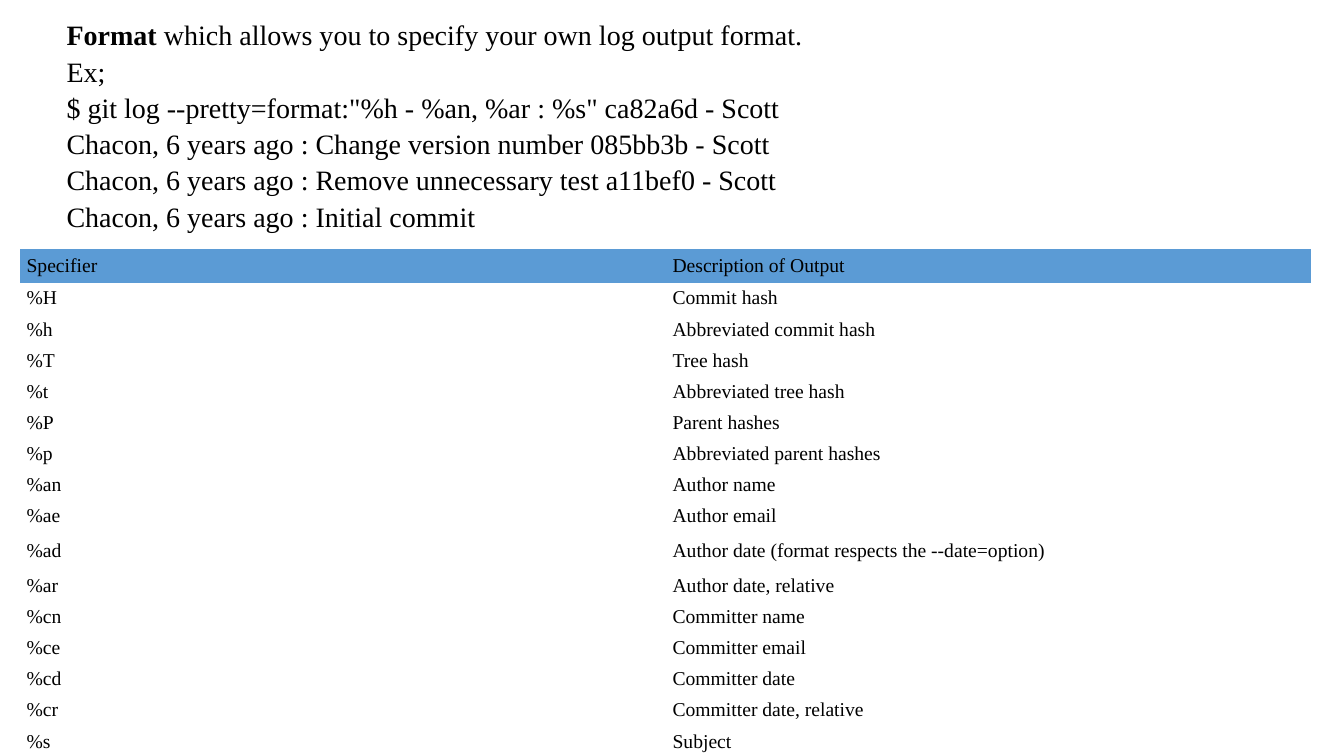
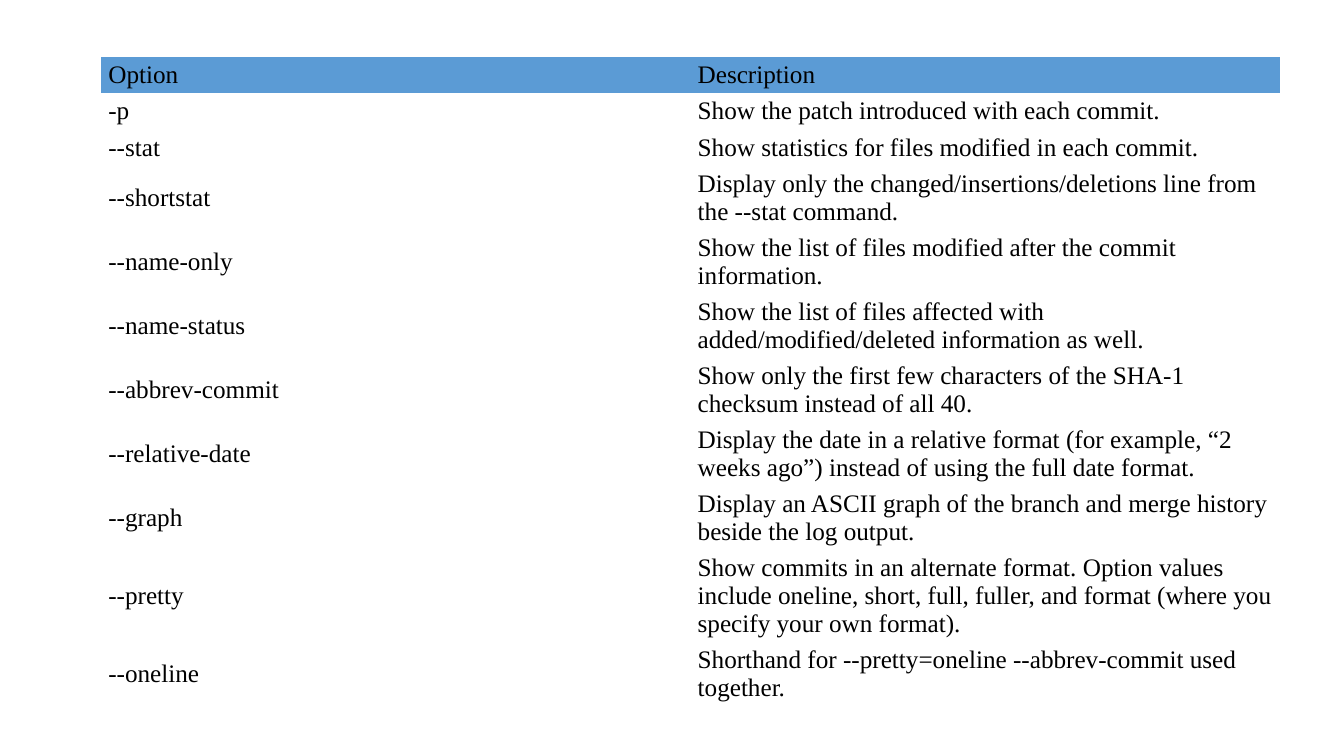
from dataclasses import dataclass

from lxml.etree import SubElement
from pptx import Presentation
from pptx.dml.color import RGBColor
from pptx.enum.text import MSO_ANCHOR, MSO_AUTO_SIZE, PP_ALIGN
from pptx.oxml.ns import qn
from pptx.slide import Slide
from pptx.util import Pt

FONT = "Times New Roman"
BLACK = "000000"
HEADER_BLUE = "5B9BD5"
PLAIN_TABLE_STYLE = "{2D5ABB26-0587-4C30-8999-92F81FD0307C}"
TITLE_AND_CONTENT, BLANK = 1, 6


@dataclass
class ReferenceTable:
    left: float
    top: float
    column_width: float
    size: float
    inset: float
    rows: list[tuple[str, str]]
    heights: list[float]


SPECIFIERS = ReferenceTable(
    left=14, top=178, column_width=461.4, size=14, inset=3,
    rows=[
        ("Specifier", "Description of Output"),
        ("%H", "Commit hash"),
        ("%h", "Abbreviated commit hash"),
        ("%T", "Tree hash"),
        ("%t", "Abbreviated tree hash"),
        ("%P", "Parent hashes"),
        ("%p", "Abbreviated parent hashes"),
        ("%an", "Author name"),
        ("%ae", "Author email"),
        ("%ad", "Author date (format respects the --date=option)"),
        ("%ar", "Author date, relative"),
        ("%cn", "Committer name"),
        ("%ce", "Committer email"),
        ("%cd", "Committer date"),
        ("%cr", "Committer date, relative"),
        ("%s", "Subject"),
    ],
    heights=[24] + [22.2] * 8 + [28] + [22.2] * 6,
)

OPTIONS = ReferenceTable(
    left=72.4, top=40.6, column_width=421, size=18, inset=2.5,
    rows=[
        ("Option", "Description"),
        ("-p", "Show the patch introduced with each commit."),
        ("--stat", "Show statistics for files modified in each commit."),
        ("--shortstat", "Display only the changed/insertions/deletions line from "
                        "the --stat command."),
        ("--name-only", "Show the list of files modified after the commit information."),
        ("--name-status", "Show the list of files affected with "
                          "added/modified/deleted information as well."),
        ("--abbrev-commit", "Show only the first few characters of the SHA-1 "
                            "checksum instead of all 40."),
        ("--relative-date", "Display the date in a relative format (for example, “2 weeks ago”) "
                            "instead of using the full date format."),
        ("--graph", "Display an ASCII graph of the branch and merge history "
                    "beside the log output."),
        ("--pretty", "Show commits in an alternate format. Option values include oneline, "
                     "short, full, fuller, and format (where you specify your own format)."),
        ("--oneline", "Shorthand for --pretty=oneline --abbrev-commit used together."),
    ],
    heights=[26] * 3 + [45.7] * 6 + [65.7, 45.7],
)

# Each paragraph is its alignment and its runs of (text, bold).
FORMAT_EXAMPLE = [
    (PP_ALIGN.JUSTIFY, [("Format", True),
                        (" which allows you to specify your own log output format.", False)]),
    (PP_ALIGN.JUSTIFY, [("Ex;", False)]),
    (PP_ALIGN.LEFT, [('$ git log --pretty=format:"%h - %an, %ar : %s" ca82a6d - Scott '
                      "Chacon, 6 years ago : Change version number 085bb3b - Scott "
                      "Chacon, 6 years ago : Remove unnecessary test a11bef0 - Scott "
                      "Chacon, 6 years ago : Initial commit", False)]),
]


def rgb(color: str) -> RGBColor:
    return RGBColor.from_string(color)


def set_font(paragraph, size: float) -> None:
    paragraph.font.name = FONT
    paragraph.font.size = Pt(size)
    paragraph.font.color.rgb = rgb(BLACK)


def draw_table(slide: Slide, reference: ReferenceTable) -> None:
    table = slide.shapes.add_table(
        len(reference.rows), 2, Pt(reference.left), Pt(reference.top),
        Pt(2 * reference.column_width), Pt(sum(reference.heights))).table
    table.horz_banding = False
    table._tbl.tblPr.find(qn("a:tableStyleId")).text = PLAIN_TABLE_STYLE
    for column in table.columns:
        column.width = Pt(reference.column_width)
    for index, (texts, height) in enumerate(zip(reference.rows, reference.heights)):
        table.rows[index].height = Pt(height)
        for cell, text in zip(table.rows[index].cells, texts):
            cell.text = text
            cell.vertical_anchor = MSO_ANCHOR.MIDDLE
            cell.margin_left = cell.margin_right = Pt(5)
            cell.margin_top = cell.margin_bottom = Pt(reference.inset)
            set_font(cell.text_frame.paragraphs[0], reference.size)
            if index == 0:
                cell.fill.solid()
                cell.fill.fore_color.rgb = rgb(HEADER_BLUE)
            else:
                cell.fill.background()


def write_format_example(slide: Slide) -> None:
    body = slide.placeholders[1]
    body.left, body.top, body.width, body.height = Pt(40.3), Pt(-12), Pt(542), Pt(201)
    frame = body.text_frame
    frame.word_wrap = True
    frame.auto_size = MSO_AUTO_SIZE.NONE
    frame.vertical_anchor = MSO_ANCHOR.MIDDLE
    for index, (alignment, runs) in enumerate(FORMAT_EXAMPLE):
        paragraph = frame.add_paragraph() if index else frame.paragraphs[0]
        properties = paragraph._p.get_or_add_pPr()
        properties.set("marL", "0")
        properties.set("indent", "0")
        SubElement(properties, qn("a:buNone"))
        paragraph.alignment = alignment
        paragraph.line_spacing = 1.08
        paragraph.space_before = Pt(0)
        set_font(paragraph, 20)
        for text, bold in runs:
            run = paragraph.add_run()
            run.text = text
            run.font.bold = bold


def main() -> None:
    deck = Presentation()
    deck.slide_width, deck.slide_height = Pt(960), Pt(540)

    format_slide = deck.slides.add_slide(deck.slide_layouts[TITLE_AND_CONTENT])
    unused_title = format_slide.shapes.title.element
    unused_title.getparent().remove(unused_title)
    write_format_example(format_slide)
    draw_table(format_slide, SPECIFIERS)

    options_slide = deck.slides.add_slide(deck.slide_layouts[BLANK])
    draw_table(options_slide, OPTIONS)

    deck.save("out.pptx")


if __name__ == "__main__":
    main()
